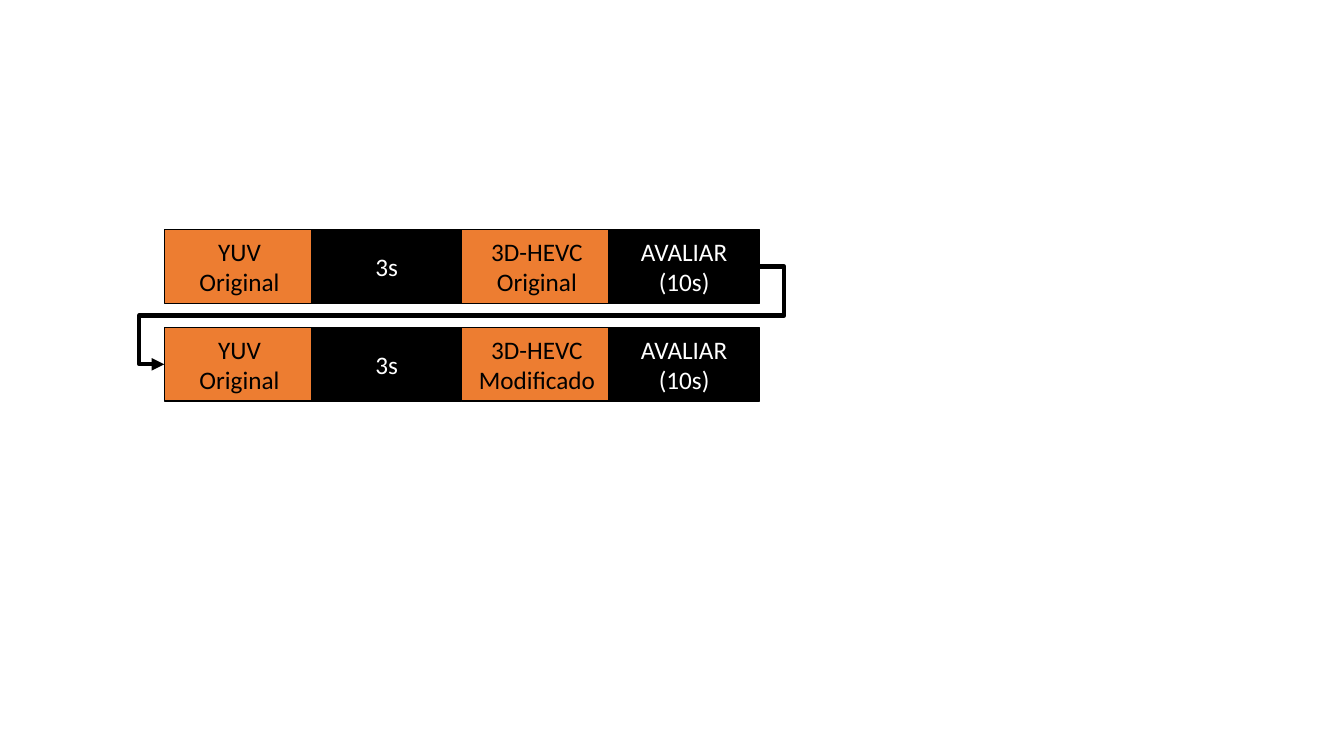
from dataclasses import dataclass

from lxml import etree
from pptx import Presentation
from pptx.dml.color import RGBColor
from pptx.enum.shapes import MSO_CONNECTOR, MSO_SHAPE
from pptx.enum.text import MSO_ANCHOR, PP_ALIGN
from pptx.oxml.ns import qn
from pptx.shapes.autoshape import Shape
from pptx.shapes.connector import Connector
from pptx.shapes.shapetree import GroupShapes
from pptx.util import Inches, Pt

RECTANGLE = MSO_SHAPE.RECTANGLE
ELBOW = MSO_CONNECTOR.ELBOW
MIDDLE = MSO_ANCHOR.MIDDLE
CENTER = PP_ALIGN.CENTER
LEFT_SIDE, RIGHT_SIDE = 1, 3

ORANGE, BLACK, WHITE = "ED7D31", "000000", "FFFFFF"
FONT = "Calibri"
BOX_WIDTH, BOX_HEIGHT = 1.49, 0.73
COLUMN_LEFTS = (1.63, 3.09, 4.58, 6.04)
FIRST_ROW_TOP, ROW_STEP = 2.28, 0.97


@dataclass(frozen=True)
class Step:
    lines: tuple[str, ...]
    fill: str
    text_color: str


def video(*lines: str) -> Step:
    return Step(lines, ORANGE, BLACK)


def pause(*lines: str) -> Step:
    return Step(lines, BLACK, WHITE)


SEQUENCES = [
    [video("YUV", "Original"), pause("3s"),
     video("3D-HEVC", codec_version), pause("AVALIAR", "(10s)")]
    for codec_version in ("Original", "Modificado")
]


def color(hex_code: str) -> RGBColor:
    return RGBColor.from_string(hex_code)


def add_step(shapes: GroupShapes, step: Step, left: float, top: float) -> Shape:
    box = shapes.add_shape(RECTANGLE, Inches(left), Inches(top),
                           Inches(BOX_WIDTH), Inches(BOX_HEIGHT))
    box.shadow.inherit = False
    box.fill.solid()
    box.fill.fore_color.rgb = color(step.fill)
    box.line.color.rgb = color(BLACK)
    box.line.width = Pt(1)

    frame = box.text_frame
    frame.word_wrap = True
    frame.vertical_anchor = MIDDLE
    for index, line in enumerate(step.lines):
        paragraph = frame.add_paragraph() if index else frame.paragraphs[0]
        paragraph.alignment = CENTER
        run = paragraph.add_run()
        run.text = line
        run.font.name = FONT
        run.font.size = Pt(18)
        run.font.color.rgb = color(step.text_color)
    return box


def add_return_arrow(shapes: GroupShapes, source: Shape, target: Shape) -> Connector:
    arrow = shapes.add_connector(
        ELBOW,
        source.left + source.width, source.top + source.height // 2,
        target.left, target.top + target.height // 2)
    arrow.begin_connect(source, RIGHT_SIDE)
    arrow.end_connect(target, LEFT_SIDE)
    arrow.line.color.rgb = color(BLACK)
    arrow.line.width = Pt(3)

    # Five-segment route, arrowhead and no shadow
    properties = arrow._element.spPr
    geometry = properties.find(qn("a:prstGeom"))
    geometry.set("prst", "bentConnector5")
    adjustments = geometry.find(qn("a:avLst"))
    for number, value in enumerate((-4200, 50000, 104200), start=1):
        etree.SubElement(adjustments, qn("a:gd"),
                         name=f"adj{number}", fmla=f"val {value}")
    etree.SubElement(properties.find(qn("a:ln")), qn("a:tailEnd"), type="triangle")
    etree.SubElement(properties, qn("a:effectLst"))
    return arrow


def main() -> None:
    presentation = Presentation()
    presentation.slide_width = Inches(13.33)
    presentation.slide_height = Inches(7.5)
    slide = presentation.slides.add_slide(presentation.slide_layouts[6])
    shapes = slide.shapes.add_group_shape().shapes

    # Two evaluation sequences
    rows = [
        [add_step(shapes, step, left, FIRST_ROW_TOP + row * ROW_STEP)
         for step, left in zip(sequence, COLUMN_LEFTS)]
        for row, sequence in enumerate(SEQUENCES)
    ]

    # Arrow from the end of the first to the start of the second
    add_return_arrow(shapes, rows[0][-1], rows[1][0])
    presentation.save("out.pptx")


if __name__ == "__main__":
    main()
